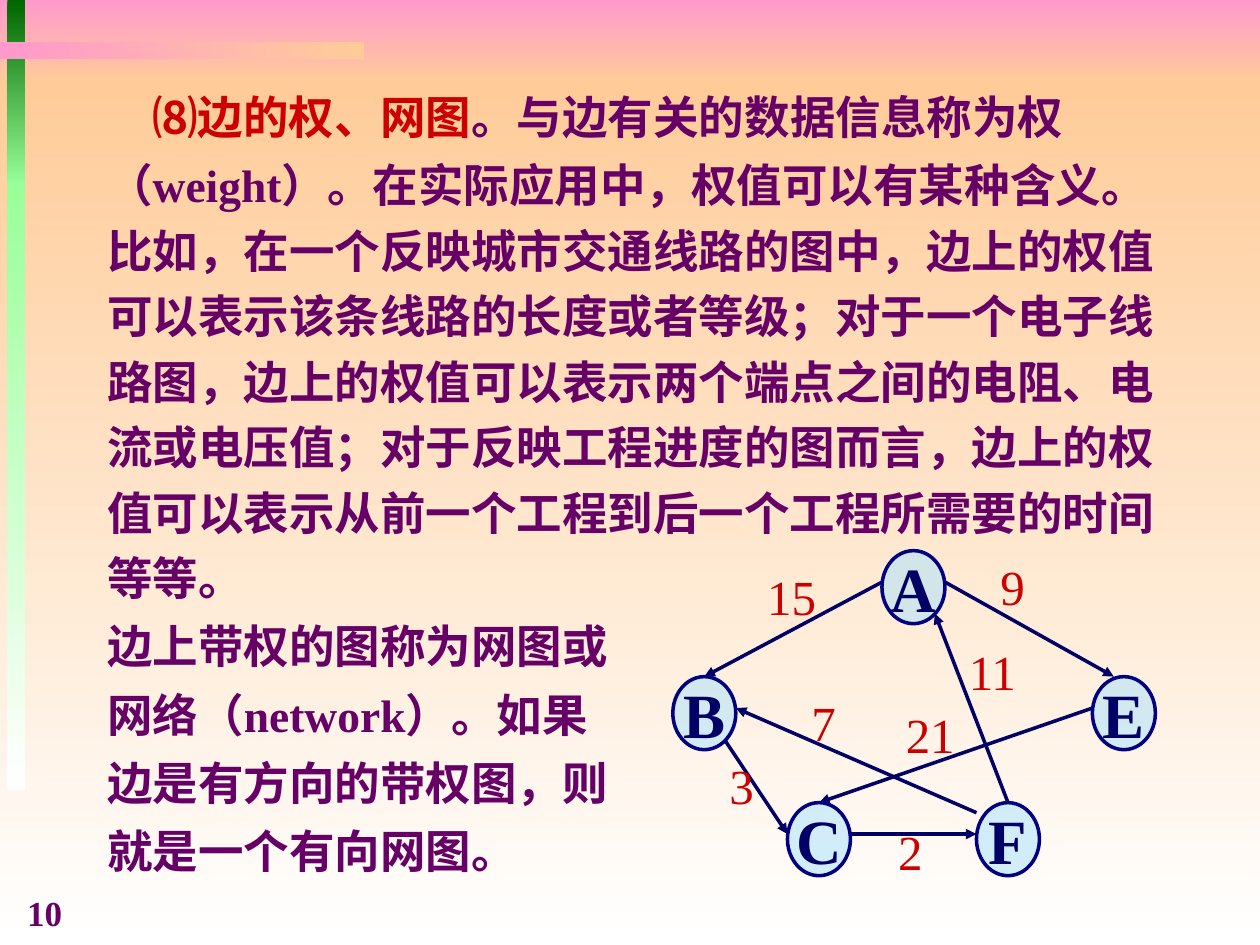
"""Build a slide on edge weights and network graphs with a weighted digraph."""
import lxml.etree
import pptx
import pptx.dml.color
import pptx.enum.shapes
import pptx.enum.text
import pptx.oxml.ns
import pptx.util
from pptx.util import Inches

qn = pptx.oxml.ns.qn
ALIGN = pptx.enum.text.PP_ALIGN
SHAPE = pptx.enum.shapes.MSO_SHAPE


def color(value):
    """Turn a hex string into a colour."""
    return pptx.dml.color.RGBColor.from_string(value)


def style(paragraph, size, value, bold=True):
    """Format all runs of a paragraph."""
    for run in paragraph.runs:
        run.font.name = "Times New Roman"
        run.font.size = pptx.util.Pt(size)
        run.font.bold = bold
        run.font.color.rgb = color(value)


presentation = pptx.Presentation()
presentation.slide_width = Inches(10)
presentation.slide_height = Inches(7.5)
slide = presentation.slides.add_slide(presentation.slide_layouts[1])
title = slide.shapes.title.element
title.getparent().remove(title)
body = slide.placeholders[1]

bands = [
    (0, 0, 10, 0.67, "FF99CC", "FFCC99", 270),
    (0, 0.67, 10, 6.83, "FFCC99", "FFFFFF", 270),
    (0.06, 0, 0.14, 1.48, "006600", "99FF99", 270),
    (0.06, 1.46, 0.14, 4.81, "99FF99", "FFFFFF", 270),
    (0, 0.33, 2.89, 0.14, "FFCC99", "FF99CC", 180),
]
for left, top, width, height, start, end, angle in bands:
    band = slide.shapes.add_shape(SHAPE.RECTANGLE, Inches(left), Inches(top), Inches(width), Inches(height))
    band.shadow.inherit = False
    band.line.fill.background()
    band.fill.gradient()
    band.fill.gradient_angle = angle
    for stop, value in zip(band.fill.gradient_stops, (start, end)):
        stop.color.rgb = color(value)

number = slide.shapes.add_textbox(Inches(0), Inches(7.03), Inches(0.71), Inches(0.44))
number.text_frame.word_wrap = True
number.text_frame.text = "10"
number.text_frame.paragraphs[0].alignment = ALIGN.CENTER
style(number.text_frame.paragraphs[0], 20, "660066")

slide.shapes.element.append(body.element)
body.left, body.top, body.width, body.height = Inches(0.75), Inches(0.57), Inches(8.78), Inches(6.45)
body.text_frame.auto_size = pptx.enum.text.MSO_AUTO_SIZE.NONE
heading = "⑻边的权、网图"
body.text_frame.text = "\n".join([
    heading,
    "（weight）。在实际应用中，权值可以有某种含义。比如，在一个反映城市交通线路的图中，"
    "边上的权值可以表示该条线路的长度或者等级；对于一个电子线路图，"
    "边上的权值可以表示两个端点之间的电阻、电流或电压值；对于反映工程进度的图而言，"
    "边上的权值可以表示从前一个工程到后一个工程所需要的时间等等。",
    "边上带权的图称为网图或",
    "网络（network）。如果",
    "边是有方向的带权图，则",
    "就是一个有向网图。",
])
body.text_frame.paragraphs[0].add_run().text = "。与边有关的数据信息称为权"
for index, paragraph in enumerate(body.text_frame.paragraphs):
    properties = paragraph._p.get_or_add_pPr()
    properties.set("marL", "0")
    properties.set("indent", str(Inches(0 if index else 0.36)))
    lxml.etree.SubElement(properties, qn("a:buNone"))
    paragraph.line_spacing = 1.2
    paragraph.space_before = pptx.util.Pt(1.6 if index else 0)
    style(paragraph, 26, "660066")
body.text_frame.paragraphs[0].runs[0].font.color.rgb = color("CC0000")

edges = [
    (7, 4.62, 5.59, 5.37),
    (5.75, 5.87, 6.25, 6.62),
    (6.75, 6.62, 7.75, 6.62),
    (8, 6.37, 7.42, 4.87),
    (7.5, 4.62, 8.84, 5.37),
    (7.75, 6.45, 5.84, 5.62),
    (8.67, 5.62, 6.5, 6.37),
]
for edge in edges:
    connector = slide.shapes.add_connector(
        pptx.enum.shapes.MSO_CONNECTOR.STRAIGHT, *[Inches(value) for value in edge])
    connector.line.color.rgb = color("000066")
    connector.line.width = pptx.util.Pt(2)
    lxml.etree.SubElement(connector.line._get_or_add_ln(), qn("a:tailEnd"), type="triangle")
    lxml.etree.SubElement(connector.element.spPr, qn("a:effectLst"))

nodes = {"A": (7, 4.37), "B": (5.34, 5.37), "E": (8.67, 5.37), "C": (6.25, 6.37), "F": (7.75, 6.37)}
for name, (left, top) in nodes.items():
    node = slide.shapes.add_shape(SHAPE.OVAL, Inches(left), Inches(top), Inches(0.5), Inches(0.58))
    node.shadow.inherit = False
    node.fill.solid()
    node.fill.fore_color.rgb = color("A7E2FF")
    fill_color = node.element.spPr.find(qn("a:solidFill"))[0]
    lxml.etree.SubElement(fill_color, qn("a:alpha"), val="50000")
    node.line.color.rgb = color("000080")
    node.line.width = pptx.util.Pt(2)
    node.text_frame.word_wrap = False
    node.text_frame.vertical_anchor = pptx.enum.text.MSO_ANCHOR.MIDDLE
    node.text_frame.text = name
    node.text_frame.paragraphs[0].alignment = ALIGN.CENTER
    style(node.text_frame.paragraphs[0], 36, "000066")

weights = {
    "15": (5.99, 4.45), "9": (7.84, 4.37), "7": (6.34, 5.45), "21": (7.09, 5.54),
    "11": (7.59, 5.04), "3": (5.69, 5.95), "2": (7.03, 6.47),
}
for weight, (left, top) in weights.items():
    width = 0.19 + 0.2 * len(weight)
    label = slide.shapes.add_textbox(Inches(left), Inches(top), Inches(width), Inches(0.57))
    label.text_frame.word_wrap = False
    label.text_frame.text = weight
    style(label.text_frame.paragraphs[0], 28, "CC0000", bold=False)

presentation.save("out.pptx")
